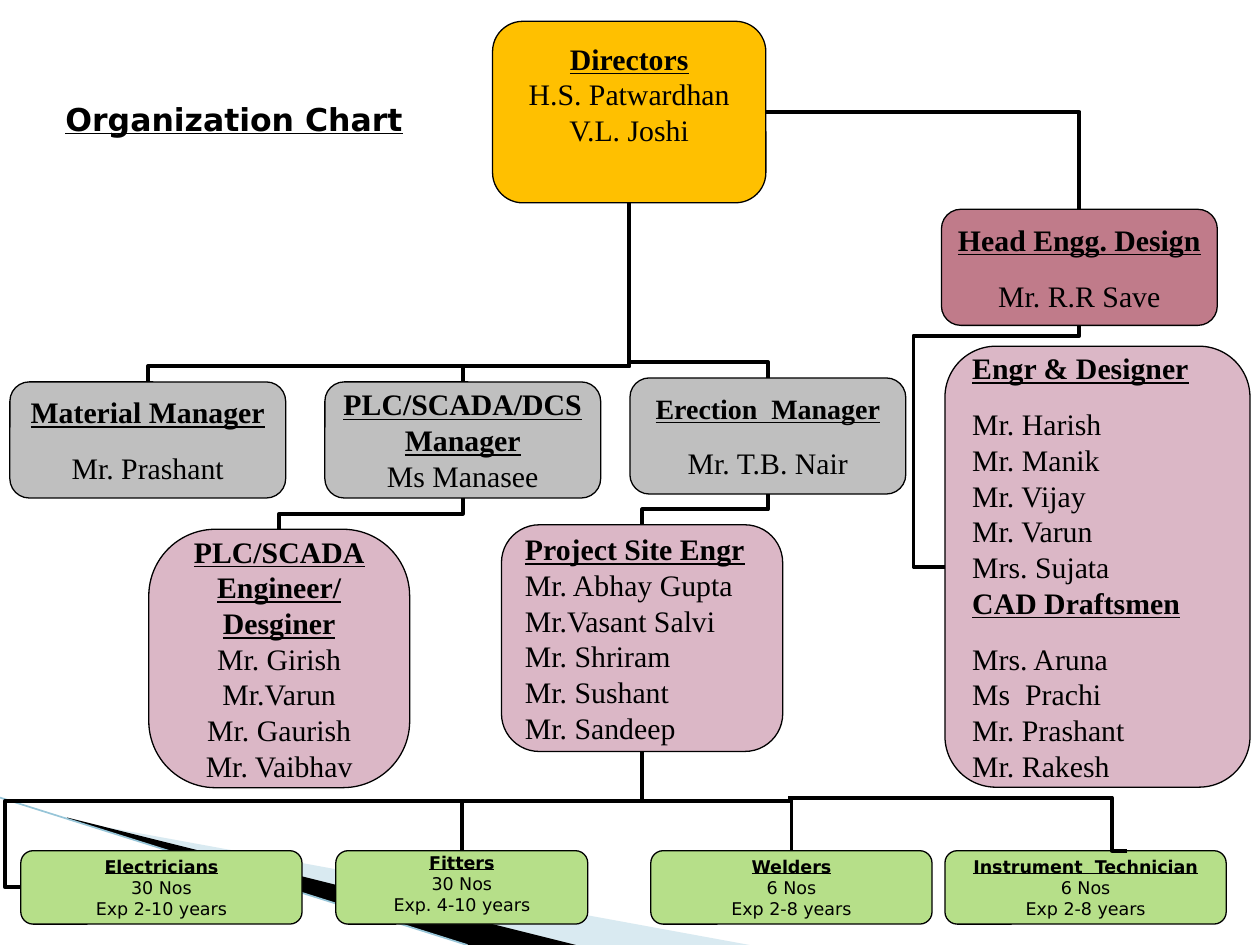
from lxml.etree import SubElement
from pptx import Presentation
from pptx.dml.color import RGBColor
from pptx.enum.shapes import MSO_CONNECTOR, MSO_SHAPE
from pptx.enum.text import MSO_ANCHOR, PP_ALIGN
from pptx.oxml.ns import qn
from pptx.util import Cm, Pt

COLORS = {
    "black": "000000", "director": "FFC000", "manager": "BFBFBF", "head": "C07B8A",
    "team": "DBB7C6", "trade": "B6DF89", "wave": "A0CBDC", "wave_line": "97C5D8",
}
SERIF, SANS = "Times New Roman", "DejaVu Sans"
TOP, LEFT, BOTTOM, RIGHT = range(4)


def color(name):
    return RGBColor.from_string(COLORS[name])


def add_text(paragraph, text, size, font, bold):
    run = paragraph.add_run()
    run.text = text
    run.font.size = Pt(size)
    run.font.name = font
    run.font.bold = run.font.underline = bold
    run.font.color.rgb = color("black")


def add_box(slide, position, fill, sections, gap=0, size=17, heading_size=None,
            font=SERIF, align=PP_ALIGN.CENTER, corner=0.167, lift=0):
    """Rounded box; each section is (heading lines, other lines)."""
    shape = slide.shapes.add_shape(MSO_SHAPE.ROUNDED_RECTANGLE, *map(Cm, position))
    shape.adjustments[0] = corner
    shape.shadow.inherit = False
    shape.fill.solid()
    shape.fill.fore_color.rgb = color(fill)
    shape.line.color.rgb = color("black")
    shape.line.width = Pt(0.75)

    frame = shape.text_frame
    frame.word_wrap = False
    frame.vertical_anchor = MSO_ANCHOR.MIDDLE
    frame.margin_bottom = Cm(0.13 + lift)
    paragraph = None
    for headings, names in sections:
        for index, text in enumerate(headings + names):
            paragraph = frame.add_paragraph() if paragraph else frame.paragraphs[0]
            paragraph.alignment = align
            is_heading = index < len(headings)
            if gap and index == len(headings):
                paragraph.space_before = Pt(gap)
            text_size = heading_size if is_heading and heading_size else size
            add_text(paragraph, text, text_size, font, is_heading)
    return shape


def style_connector(connector, line_color, width):
    connector.line.color.rgb = color(line_color)
    connector.line.width = Pt(width)
    SubElement(connector.element.spPr, qn("a:effectLst"))


def set_route(connector, adjustments):
    """Choose the elbow by its number of bends and set where it bends."""
    geometry = connector.element.spPr.find(qn("a:prstGeom"))
    geometry.set("prst", f"bentConnector{len(adjustments) + 2}")
    guides = geometry.find(qn("a:avLst"))
    if guides is None:
        guides = SubElement(geometry, qn("a:avLst"))
    for number, value in enumerate(adjustments, start=1):
        name = "adj1" if len(adjustments) == 0 else f"adj{number}"
        SubElement(guides, qn("a:gd"), name=name, fmla=f"val {round(value * 100000)}")


def turn_upward(connector):
    """Make an elbow leave its lower end vertically."""
    start_x, start_y = connector.begin_x, connector.begin_y
    end_x, end_y = connector.end_x, connector.end_y
    width, height = abs(end_y - start_y), abs(end_x - start_x)
    connector.left = (start_x + end_x - width) // 2
    connector.top = (start_y + end_y - height) // 2
    connector.width, connector.height = width, height
    transform = connector.element.spPr.find(qn("a:xfrm"))
    for flip in ("flipH", "flipV"):
        transform.attrib.pop(flip, None)
    transform.set("rot", str(270 * 60000))
    if end_x < start_x:
        transform.set("flipV", "1")


def link(slide, child, child_side, parent, parent_side, adjustments):
    connector = slide.shapes.add_connector(MSO_CONNECTOR.ELBOW, 0, 0, 0, 0)
    connector.begin_connect(child, child_side)
    connector.end_connect(parent, parent_side)
    if child_side == TOP:
        turn_upward(connector)
    set_route(connector, adjustments)
    style_connector(connector, "black", 2.25)


def add_wave(slide, points, fill, opacity=None):
    points = [(Cm(x), Cm(y)) for x, y in points]
    builder = slide.shapes.build_freeform(*points[0])
    builder.add_line_segments(points[1:], close=True)
    shape = builder.convert_to_shape()
    shape.shadow.inherit = False
    shape.fill.solid()
    shape.fill.fore_color.rgb = color(fill)
    shape.line.fill.background()
    if opacity:
        fill_color = shape.element.spPr.find(qn("a:solidFill"))[0]
        SubElement(fill_color, qn("a:alpha"), val=str(opacity * 1000))


def add_title(slide):
    box = slide.shapes.add_textbox(Cm(1.07), Cm(1.9), Cm(8.47), Cm(1.02))
    box.text_frame.word_wrap = True
    add_text(box.text_frame.paragraphs[0], "Organization Chart", 18, SANS, True)


def main():
    presentation = Presentation()
    presentation.slide_width, presentation.slide_height = Cm(25.4), Cm(19.05)
    slide = presentation.slides.add_slide(presentation.slide_layouts[6])

    # Background waves
    add_wave(slide, [(1.4, 16.54), (15.11, 19.05), (11.58, 19.05), (1.4, 16.51)], "wave", 40)
    add_wave(slide, [(1.35, 16.48), (11.61, 19.05), (9.45, 19.05), (1.37, 16.51)], "black")
    edge = slide.shapes.add_connector(
        MSO_CONNECTOR.STRAIGHT, Cm(0), Cm(16.08), Cm(9.42), Cm(19.05))
    style_connector(edge, "wave_line", 0.95)

    # Directors and managers
    directors = add_box(slide, (9.93, 0.43, 5.51, 3.66), "director",
                        [(["Directors"], ["H.S. Patwardhan", "V.L. Joshi"])], lift=0.72)
    manager_size = (5.56, 2.34)
    material = add_box(slide, (0.2, 7.7, *manager_size), "manager",
                       [(["Material Manager"], ["Mr. Prashant"])], gap=11.5)
    control = add_box(slide, (6.55, 7.7, *manager_size), "manager",
                      [(["PLC/SCADA/DCS", "Manager"], ["Ms Manasee"])])
    erection = add_box(slide, (12.7, 7.62, *manager_size), "manager",
                       [(["Erection  Manager"], ["Mr. T.B. Nair"])], gap=11.5, heading_size=16)
    design = add_box(slide, (18.98, 4.22, *manager_size), "head",
                     [(["Head Engg. Design"], ["Mr. R.R Save"])], gap=11.5)

    # Teams
    programmers = add_box(
        slide, (3, 10.67, 5.26, 5.21), "team",
        [(["PLC/SCADA", "Engineer/", "Desginer"],
          ["Mr. Girish", "Mr.Varun", "Mr. Gaurish", "Mr. Vaibhav"])], corner=0.258)
    site = add_box(
        slide, (10.11, 10.58, 5.67, 4.57), "team",
        [(["Project Site Engr"],
          ["Mr. Abhay Gupta", "Mr.Vasant Salvi", "Mr. Shriram", "Mr. Sushant", "Mr. Sandeep"])],
        align=PP_ALIGN.LEFT)
    designers = add_box(
        slide, (19.05, 6.98, 6.15, 8.89), "team",
        [(["Engr & Designer"],
          ["Mr. Harish", "Mr. Manik", "Mr. Vijay", "Mr. Varun", "Mrs. Sujata"]),
         (["CAD Draftsmen"], ["Mrs. Aruna", "Ms  Prachi", "Mr. Prashant", "Mr. Rakesh"])],
        gap=11.5, align=PP_ALIGN.LEFT)

    # Trades
    trades = [
        (0.42, 5.67, "Electricians", "30 Nos", "Exp 2-10 years", 0),
        (6.77, 5.08, "Fitters", "30 Nos", "Exp. 4-10 years", 0.16),
        (13.12, 5.67, "Welders", "6 Nos", "Exp 2-8 years", 0),
        (19.05, 5.67, "Instrument  Technician", "6 Nos", "Exp 2-8 years", 0),
    ]
    electricians, fitters, welders, _ = [
        add_box(slide, (left, 17.15, width, 1.48), "trade", [([trade], [count, experience])],
                size=10, font=SANS, lift=lift)
        for left, width, trade, count, experience, lift in trades]

    # Reporting lines
    for child, child_side, parent, parent_side, adjustments in [
        (material, TOP, directors, BOTTOM, [0.088]),
        (control, TOP, directors, BOTTOM, [0.088]),
        (erection, TOP, directors, BOTTOM, [0.09]),
        (design, TOP, directors, RIGHT, []),
        (programmers, TOP, control, BOTTOM, [0.5]),
        (site, TOP, erection, BOTTOM, [0.5]),
        (designers, LEFT, design, BOTTOM, [-0.234, 0.957]),
        (electricians, LEFT, site, BOTTOM, [-0.025, 0.636]),
        (fitters, TOP, site, BOTTOM, [0.5]),
        (welders, TOP, site, BOTTOM, [0.5]),
    ]:
        link(slide, child, child_side, parent, parent_side, adjustments)
    technician_line = slide.shapes.add_connector(
        MSO_CONNECTOR.ELBOW, Cm(22.73), Cm(17.15), Cm(15.88), Cm(16.08))
    set_route(technician_line, [0.046])
    style_connector(technician_line, "black", 2.25)

    add_title(slide)
    presentation.save("out.pptx")


if __name__ == "__main__":
    main()
